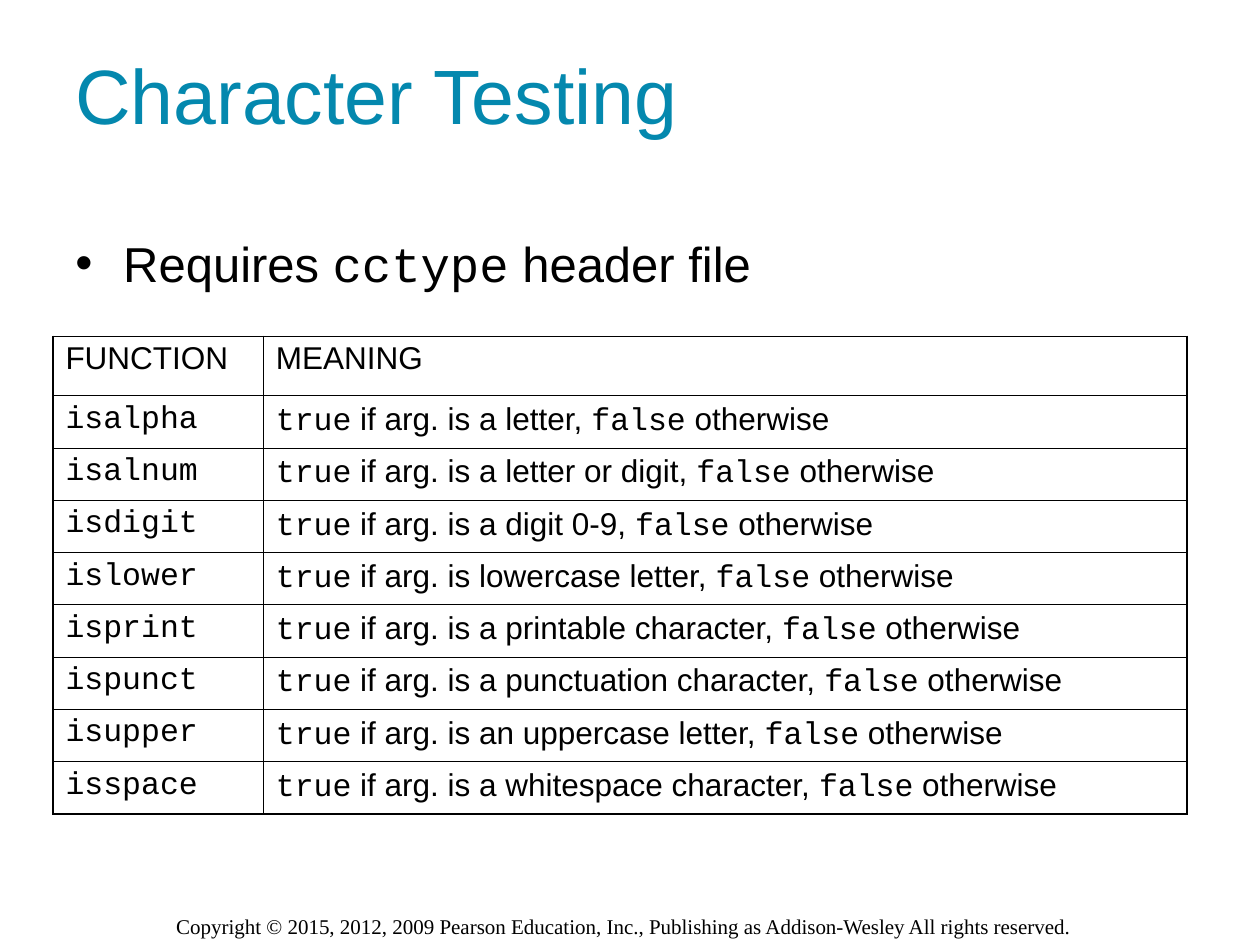
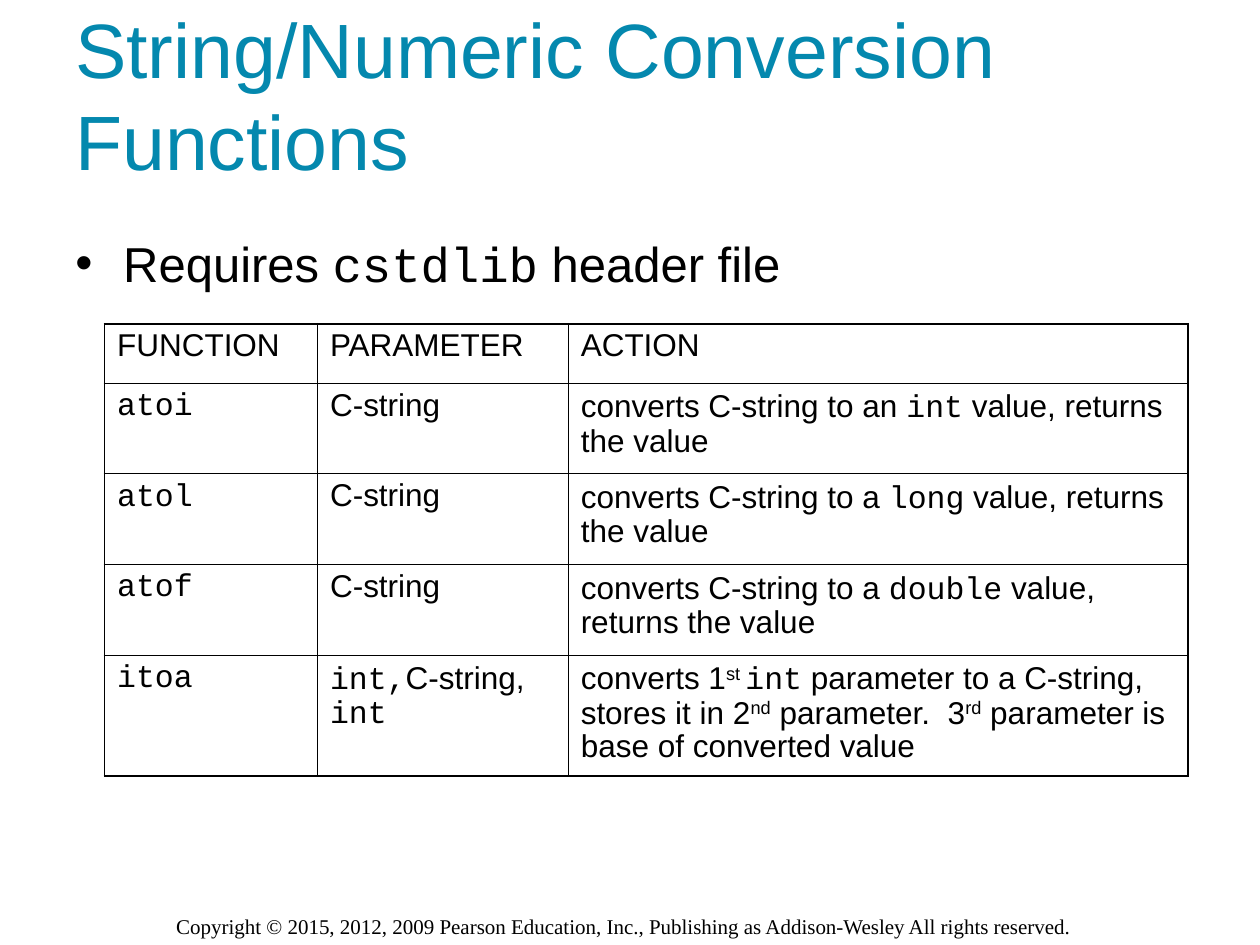
from pptx import Presentation
from pptx.dml.color import RGBColor
from pptx.enum.text import MSO_ANCHOR
from pptx.oxml.ns import qn
from pptx.util import Inches, Pt
from lxml.etree import SubElement

# Shared look
TEAL = RGBColor(0x04, 0x88, 0xAE)
BLACK = RGBColor(0, 0, 0)
SANS, MONO, SERIF = "Arial", "Courier New", "Times New Roman"
THICK, THIN = Pt(1.08), Pt(0.45)
NOTICE = ("Copyright © 2015, 2012, 2009 Pearson Education, Inc., "
          "Publishing as Addison-Wesley All rights reserved.")

# Character tests: function and what its argument must be
TESTS = [
    ("isalpha", "a letter"),
    ("isalnum", "a letter or digit"),
    ("isdigit", "a digit 0-9"),
    ("islower", "lowercase letter"),
    ("isprint", "a printable character"),
    ("ispunct", "a punctuation character"),
    ("isupper", "an uppercase letter"),
    ("isspace", "a whitespace character"),
]

# Conversions: function and the type it gives, with its article
CASTS = [("atoi", "an `int`"), ("atol", "a `long`"), ("atof", "a `double`")]

# In marked text, `...` is code and ^...^ is raised
PAGES = [
    {
        "title": "Character Testing",
        "head": "cctype",
        "left": 0.42, "top": 2.67,
        "cols": [1.67, 7.33],
        "highs": [0.47] + [0.415] * len(TESTS),
        "rows": [("FUNCTION", "MEANING")] + [
            (f"`{name}`", f"`true` if arg. is {kind}, `false` otherwise")
            for name, kind in TESTS],
    },
    {
        "title": "String/Numeric Conversion Functions",
        "head": "cstdlib",
        "left": 0.83, "top": 2.57,
        "cols": [1.69, 1.99, 4.92],
        "highs": [0.47] + [0.72] * len(CASTS) + [0.96],
        "rows": [("FUNCTION", "PARAMETER", "ACTION")] + [
            (f"`{name}`", "C-string",
             f"converts C-string to {kind} value, returns the value")
            for name, kind in CASTS] + [
            ("`itoa`", "`int,`C-string, `int`",
             "converts 1^st ^`int` parameter to a C-string, stores it in "
             "2^nd^ parameter.  3^rd^ parameter is base of converted value")],
    },
]


def write(para, text, size, color=BLACK, face=SANS):
    """Fill a paragraph with runs from marked text."""
    for i, part in enumerate(text.split("`")):
        for j, bit in enumerate(part.split("^")):
            if not bit:
                continue
            run = para.add_run()
            run.text = bit
            run.font.size = Pt(size)
            run.font.name = MONO if i % 2 else face
            run.font.color.rgb = color
            if j % 2:
                run.font._element.set("baseline", "30000")


def add_box(slide, left, top, width, height):
    """Add a wrapping text box and return its frame."""
    box = slide.shapes.add_textbox(
        Inches(left), Inches(top), Inches(width), Inches(height))
    box.text_frame.word_wrap = True
    return box.text_frame


deck = Presentation()
deck.slide_width, deck.slide_height = Inches(10), Inches(7.5)

for page in PAGES:
    slide = deck.slides.add_slide(deck.slide_layouts[6])

    # Footer
    foot = add_box(slide, 1.3, 7.2, 7.42, 0.3)
    write(foot.paragraphs[0], NOTICE, 12, face=SERIF)

    # Title
    title = add_box(slide, 0.5, 0.08, 8.33, 1.25)
    title.vertical_anchor = MSO_ANCHOR.MIDDLE
    title.margin_top, title.margin_bottom = Inches(0.08), 0
    write(title.paragraphs[0], page["title"], 44, TEAL)

    # Bullet
    body = add_box(slide, 0.5, 1.75, 8.7, 0.6)
    body.margin_top = Inches(0.1)
    para = body.paragraphs[0]
    props = para._p.get_or_add_pPr()
    props.set("marL", str(Inches(0.38)))
    props.set("indent", str(-Inches(0.38)))
    SubElement(props, qn("a:buFont")).set("typeface", SANS)
    SubElement(props, qn("a:buChar")).set("char", "•")
    write(para, f"Requires `{page['head']}` header file", 28)

    # Table
    rows, cols, highs = page["rows"], page["cols"], page["highs"]
    table = slide.shapes.add_table(
        len(rows), len(cols), Inches(page["left"]), Inches(page["top"]),
        Inches(sum(cols)), Inches(sum(highs))).table
    table.first_row = table.horz_banding = False
    for col, width in zip(table.columns, cols):
        col.width = Inches(width)
    for row, high in zip(table.rows, highs):
        row.height = Inches(high)

    for r, texts in enumerate(rows):
        for c, text in enumerate(texts):
            cell = table.cell(r, c)
            para = cell.text_frame.paragraphs[0]
            para.line_spacing = 0.95
            write(para, text, 18)

            # Heavy frame outside, hairlines inside
            outer = {"L": c == 0, "R": c == len(cols) - 1,
                     "T": r == 0, "B": r == len(rows) - 1}
            props = cell._tc.get_or_add_tcPr()
            for side, edge in outer.items():
                line = SubElement(props, qn(f"a:ln{side}"))
                line.set("w", str(THICK if edge else THIN))
                fill = SubElement(line, qn("a:solidFill"))
                SubElement(fill, qn("a:srgbClr")).set("val", str(BLACK))
            cell.fill.background()

deck.save("out.pptx")
